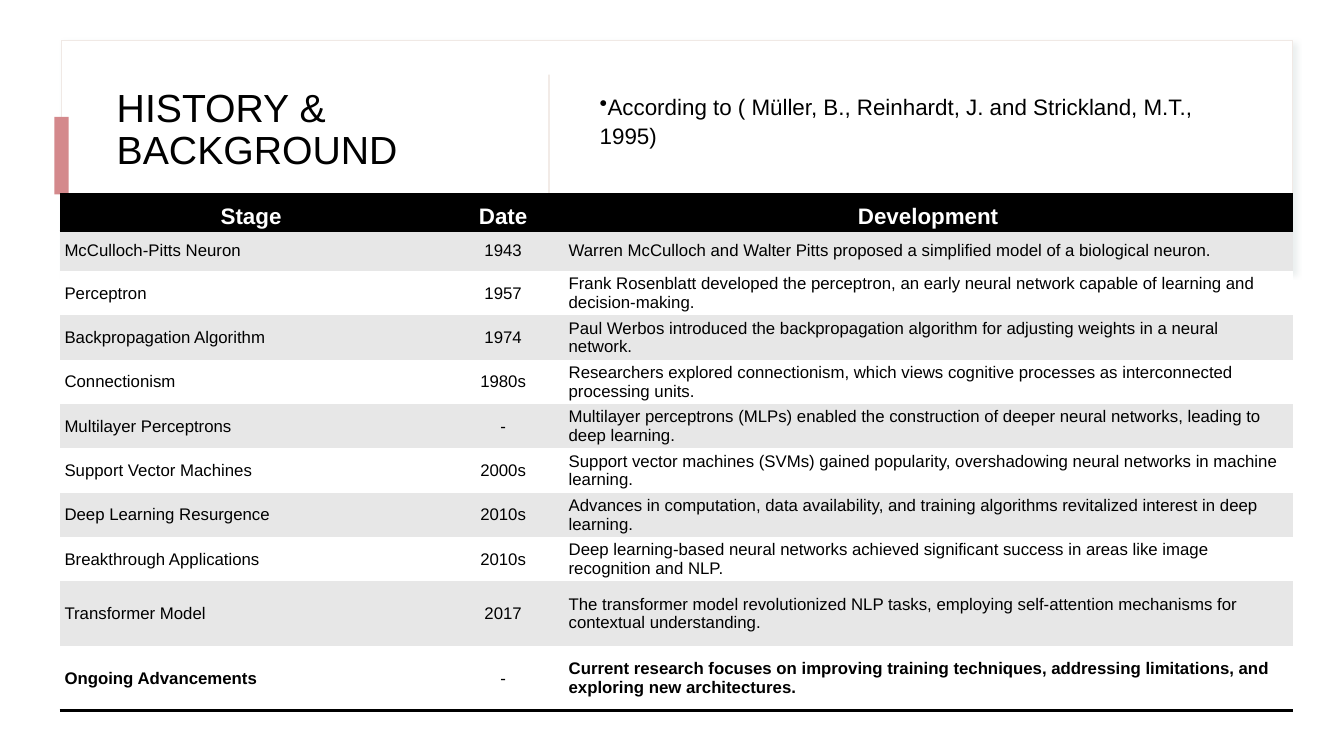
from dataclasses import dataclass

from lxml import etree
from pptx import Presentation
from pptx.dml.color import RGBColor
from pptx.enum.shapes import MSO_SHAPE
from pptx.enum.text import MSO_ANCHOR, PP_ALIGN
from pptx.oxml import parse_xml
from pptx.oxml.ns import nsdecls, qn
from pptx.util import Inches, Pt

RECTANGLE = MSO_SHAPE.RECTANGLE
MIDDLE, BOTTOM = MSO_ANCHOR.MIDDLE, MSO_ANCHOR.BOTTOM
LEFT, CENTER = PP_ALIGN.LEFT, PP_ALIGN.CENTER
NO_GRID_STYLE = "{2D5ABB26-0587-4C30-8999-92F81FD0307C}"


@dataclass(frozen=True)
class Theme:
    font: str = "Arial"
    ink: str = "000000"
    paper: str = "FFFFFF"
    band: str = "E7E7E7"
    accent: str = "D4898C"
    divider: str = "DBC8BD"
    card_line: str = "F0E9E5"
    card_shadow: str = "BCCACA"
    title_size: int = 28
    lead_size: int = 16
    cell_size: int = 12
    rule_width: int = 2


HEADINGS = ("Stage", "Date", "Development")
MILESTONES = (
    ("McCulloch-Pitts Neuron", "1943",
     "Warren McCulloch and Walter Pitts proposed a simplified model of a biological neuron."),
    ("Perceptron", "1957",
     "Frank Rosenblatt developed the perceptron, an early neural network capable of learning and decision-making."),
    ("Backpropagation Algorithm", "1974",
     "Paul Werbos introduced the backpropagation algorithm for adjusting weights in a neural network."),
    ("Connectionism", "1980s",
     "Researchers explored connectionism, which views cognitive processes as interconnected processing units."),
    ("Multilayer Perceptrons", "-",
     "Multilayer perceptrons (MLPs) enabled the construction of deeper neural networks, leading to deep learning."),
    ("Support Vector Machines", "2000s",
     "Support vector machines (SVMs) gained popularity, overshadowing neural networks in machine learning."),
    ("Deep Learning Resurgence", "2010s",
     "Advances in computation, data availability, and training algorithms revitalized interest in deep learning."),
    ("Breakthrough Applications", "2010s",
     "Deep learning-based neural networks achieved significant success in areas like image recognition and NLP."),
    ("Transformer Model", "2017",
     "The transformer model revolutionized NLP tasks, employing self-attention mechanisms for contextual understanding."),
    ("Ongoing Advancements", "-",
     "Current research focuses on improving training techniques, addressing limitations, and exploring new architectures."),
)
COLUMN_WIDTHS = (3.8, 1.2, 7.23)
ROW_HEIGHTS = (0.36, 0.4) + (0.44,) * 7 + (0.64,) * 2


def write_text(frame, text, *, font, size, color, bold=False, align=LEFT,
               anchor=MIDDLE, spacing=None, bullet=None):
    frame.word_wrap = True
    frame.vertical_anchor = anchor
    paragraph = frame.paragraphs[0]
    paragraph.alignment = align
    if spacing:
        paragraph.line_spacing = spacing
    if bullet:
        properties = paragraph._p.get_or_add_pPr()
        properties.set("marL", "0")
        properties.set("indent", str(-Inches(0.25)))
        etree.SubElement(properties, qn("a:buChar")).set("char", bullet)
    run = paragraph.add_run()
    run.text = text
    run.font.name = font
    run.font.size = Pt(size)
    run.font.bold = bold
    run.font.color.rgb = RGBColor.from_string(color)


class SlideBuilder:
    def __init__(self, slide, theme):
        self.slide = slide
        self.theme = theme

    def block(self, left, top, width, height, fill, line=None):
        shape = self.slide.shapes.add_shape(
            RECTANGLE, Inches(left), Inches(top), Inches(width), Inches(height))
        shape.shadow.inherit = False
        shape.fill.solid()
        shape.fill.fore_color.rgb = RGBColor.from_string(fill)
        if line:
            shape.line.color.rgb = RGBColor.from_string(line)
            shape.line.width = Pt(1)
        else:
            shape.line.fill.background()
        return shape

    def card(self, left, top, width, height):
        """Outlined panel with a soft shadow to the lower right."""
        theme = self.theme
        panel = self.block(left, top, width, height, theme.paper, theme.card_line)
        effects = panel._element.spPr.find(qn("a:effectLst"))
        effects.append(parse_xml(
            f'<a:outerShdw {nsdecls("a")} blurRad="{Pt(4)}" dist="{Pt(3)}" dir="2700000">'
            f'<a:srgbClr val="{theme.card_shadow}"><a:alpha val="30000"/></a:srgbClr>'
            '</a:outerShdw>'))

    def text(self, left, top, width, height, text, bottom_inset=0.05, **style):
        box = self.slide.shapes.add_textbox(
            Inches(left), Inches(top), Inches(width), Inches(height))
        box.text_frame.margin_bottom = Inches(bottom_inset)
        write_text(box.text_frame, text, font=self.theme.font,
                   color=self.theme.ink, **style)

    def rule(self, cell, side):
        """Draw a cell border; it goes before the fill in the cell properties."""
        cell._tc.get_or_add_tcPr().insert(0, parse_xml(
            f'<a:{side} {nsdecls("a")} w="{Pt(self.theme.rule_width)}"><a:solidFill>'
            f'<a:srgbClr val="{self.theme.ink}"/></a:solidFill></a:{side}>'))

    def cell(self, cell, text, fill, **style):
        cell.margin_left = cell.margin_right = Inches(0.05)
        cell.margin_top = cell.margin_bottom = Inches(0.02)
        cell.fill.solid()
        cell.fill.fore_color.rgb = RGBColor.from_string(fill)
        cell.vertical_anchor = style.get("anchor", MIDDLE)
        write_text(cell.text_frame, text, font=self.theme.font, **style)

    def timeline(self, left, top):
        theme = self.theme
        table = self.slide.shapes.add_table(
            len(ROW_HEIGHTS), len(COLUMN_WIDTHS), Inches(left), Inches(top),
            Inches(sum(COLUMN_WIDTHS)), Inches(sum(ROW_HEIGHTS))).table
        table._tbl.tblPr.find(qn("a:tableStyleId")).text = NO_GRID_STYLE
        for column, width in zip(table.columns, COLUMN_WIDTHS):
            column.width = Inches(width)
        for row, height in zip(table.rows, ROW_HEIGHTS):
            row.height = Inches(height)

        for column, heading in enumerate(HEADINGS):
            header = table.cell(0, column)
            self.cell(header, heading, theme.ink, size=theme.lead_size,
                      color=theme.paper, bold=True, align=CENTER, anchor=BOTTOM)
            self.rule(header, "lnB")
            self.rule(header, "lnT")

        for row, milestone in enumerate(MILESTONES, 1):
            is_last = row == len(MILESTONES)
            for column, entry in enumerate(milestone):
                is_date = column == 1
                target = table.cell(row, column)
                self.cell(target, entry, theme.band if row % 2 else theme.paper,
                          size=theme.cell_size, color=theme.ink,
                          bold=is_last and not is_date,
                          align=CENTER if is_date else LEFT)
                if is_last:
                    self.rule(target, "lnB")


def main():
    deck = Presentation()
    deck.slide_width, deck.slide_height = Inches(13.33), Inches(7.5)
    theme = Theme()
    builder = SlideBuilder(deck.slides.add_slide(deck.slide_layouts[6]), theme)

    builder.card(0.61, 0.4, 12.21, 2.28)
    builder.text(1.06, 0.4, 3.87, 1.8, "HISTORY & BACKGROUND",
                 size=theme.title_size, spacing=0.9)
    builder.block(0.54, 1.16, 0.14, 0.77, theme.accent)
    builder.block(5.44, 0.74, 0.01, 1.6, theme.divider)
    builder.text(5.85, 0.64, 6.56, 1.44,
                 "According to ( Müller, B., Reinhardt, J. and Strickland, M.T., 1995)",
                 bottom_inset=0.39, size=theme.lead_size, spacing=1.1, bullet="•")
    builder.timeline(0.59, 1.93)

    deck.save("out.pptx")


if __name__ == "__main__":
    main()
